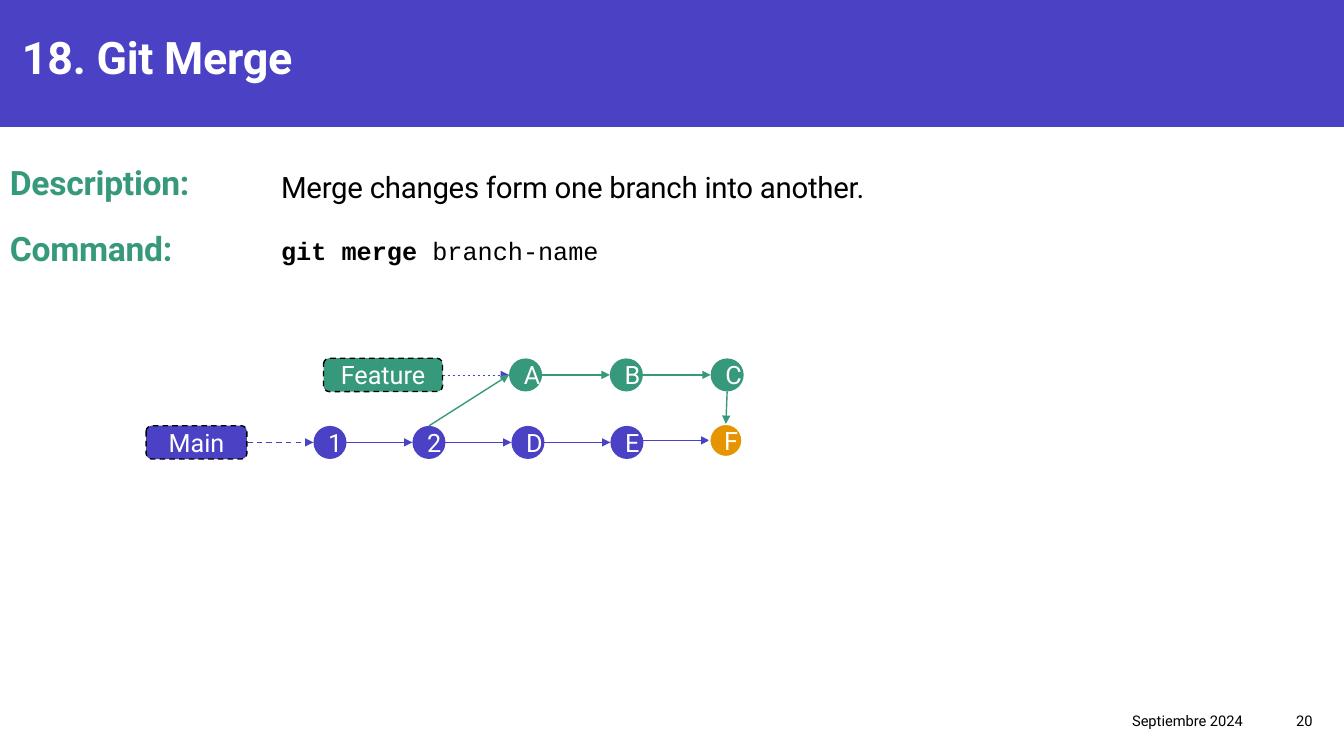
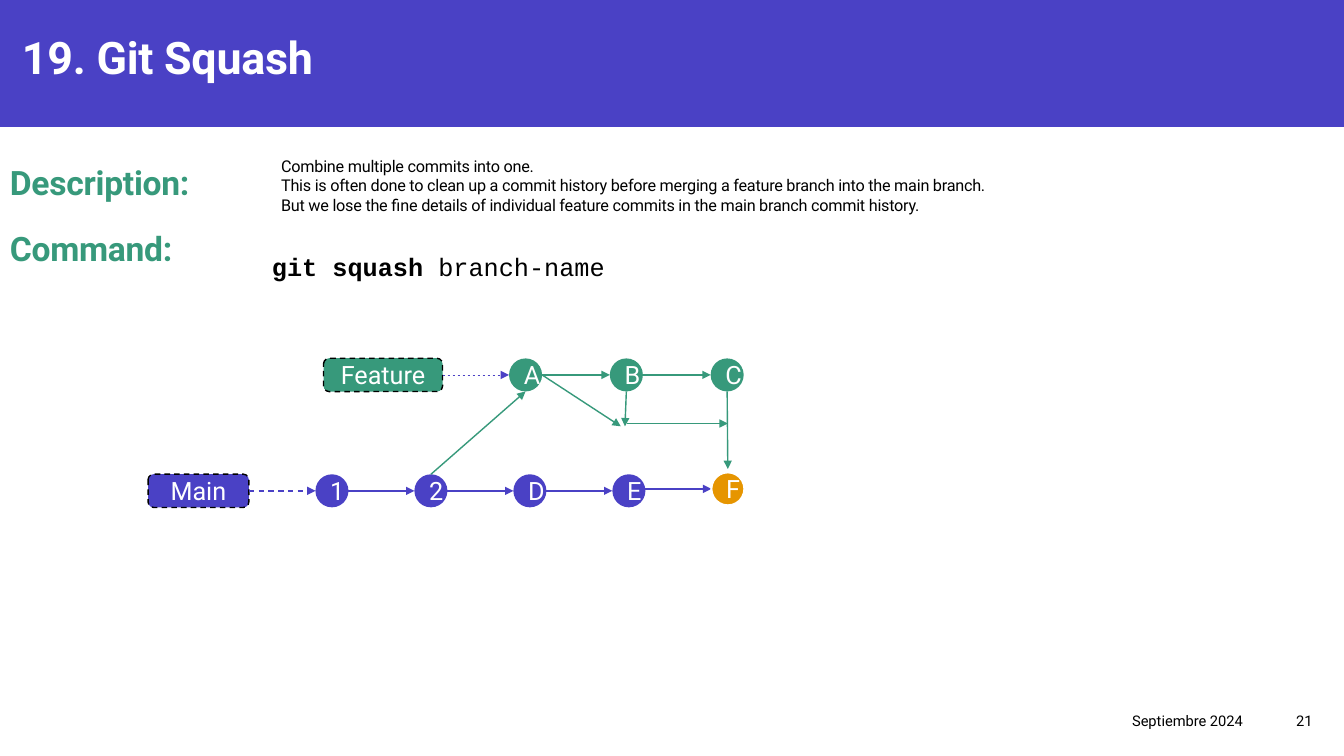
import dataclasses
import typing

import pptx
import pptx.dml.color
import pptx.enum.dml
import pptx.enum.shapes
import pptx.enum.text
import pptx.oxml
import pptx.oxml.ns
import pptx.util

Pt = pptx.util.Pt
SHAPE = pptx.enum.shapes.MSO_SHAPE
ALIGN = pptx.enum.text.PP_ALIGN
ANCHOR = pptx.enum.text.MSO_ANCHOR
DASH = pptx.enum.dml.MSO_LINE.DASH


def rgb(value):
    return pptx.dml.color.RGBColor.from_string(value)


@dataclasses.dataclass(frozen=True)
class Theme:
    main: typing.Any = rgb("4A41C5")
    feature: typing.Any = rgb("37997B")
    merged: typing.Any = rgb("E69500")
    white: typing.Any = rgb("FFFFFF")
    black: typing.Any = rgb("000000")
    font: str = "Roboto"
    code_font: str = "Courier New"
    title_size: float = 32
    heading_size: float = 24
    body_size: float = 21
    small_size: float = 11.6
    diagram_size: float = 18
    footer_size: float = 10.5
    tracking: int = -20  # hundredths of a point


THEME = Theme()


class Box(typing.NamedTuple):
    left: float
    top: float
    width: float
    height: float

    def at(self, across, down):
        """Point at a fraction of the width and of the height."""
        return self.left + across * self.width, self.top + down * self.height

    def points(self):
        return [Pt(length) for length in self]


PAGE = Box(0, 0, 960, 540)
ROW_HEIGHT = 23.8
COMMIT_SIZE = 23.6


# Basic parts
def set_attributes(target, values):
    for name, value in values.items():
        setattr(target, name, value)


def write_runs(paragraph, runs, size, color, font=THEME.font, tracking=0):
    for text, bold in runs:
        run = paragraph.add_run()
        run.text = text
        set_attributes(run.font, {"name": font, "size": Pt(size), "bold": bold})
        run.font.color.rgb = color
        if tracking:
            run._r.get_or_add_rPr().set("spc", str(tracking))


def add_text(slide, box, lines, size, color, anchor=ANCHOR.TOP, paragraph_format=None, **style):
    """Each line is a list of (text, bold) runs."""
    frame = slide.shapes.add_textbox(*box.points()).text_frame
    set_attributes(frame, {"word_wrap": True, "vertical_anchor": anchor})
    for index, runs in enumerate(lines):
        paragraph = frame.add_paragraph() if index else frame.paragraphs[0]
        set_attributes(paragraph, paragraph_format or {})
        write_runs(paragraph, runs, size, color, **style)


def add_block(slide, kind, box, fill, text="", outline=None):
    """Outline is a dict with color, width and dash_style."""
    shape = slide.shapes.add_shape(kind, *box.points())
    shape.shadow.inherit = False
    shape.fill.solid()
    shape.fill.fore_color.rgb = fill
    if outline:
        shape.line.color.rgb = outline["color"]
        set_attributes(shape.line, {"width": Pt(outline["width"]),
                                    "dash_style": outline.get("dash_style")})
    else:
        shape.line.fill.background()
    if text:
        paragraph = shape.text_frame.paragraphs[0]
        paragraph.alignment = ALIGN.CENTER
        write_runs(paragraph, [(text, False)], THEME.diagram_size, THEME.white)
    return shape


def add_arrow(slide, start, end, color, width=1, dash_style=None):
    connector = slide.shapes.add_connector(
        pptx.enum.shapes.MSO_CONNECTOR.STRAIGHT, *[Pt(value) for value in (*start, *end)])
    connector.line.color.rgb = color
    set_attributes(connector.line, {"width": Pt(width), "dash_style": dash_style})
    line = connector.line._get_or_add_ln()
    tail = pptx.oxml.parse_xml(
        f'<a:tailEnd {pptx.oxml.ns.nsdecls("a")} type="triangle"/>')
    line.append(tail)
    effects = pptx.oxml.parse_xml(f'<a:effectLst {pptx.oxml.ns.nsdecls("a")}/>')
    line.addnext(effects)
    return connector


# Regions
def add_header(slide, box, title):
    add_block(slide, SHAPE.RECTANGLE, box, THEME.main)
    add_text(slide, Box(box.left + 8.6, box.top + 18, box.width - 24, 46.8), [[(title, True)]],
             THEME.title_size, THEME.white, tracking=THEME.tracking)


def add_headings(slide, box):
    for index, heading in enumerate(("Description:", "Command:")):
        add_text(slide, Box(box.left, box.top + index * box.height / 2, box.width, box.height / 2),
                 [[(heading, True)]], THEME.heading_size, THEME.feature,
                 paragraph_format={"line_spacing": 1.1}, tracking=THEME.tracking)


def add_description(slide, box, lines):
    single = len(lines) == 1
    add_text(slide, box, [[(line, False)] for line in lines],
             THEME.body_size if single else THEME.small_size, THEME.black, ANCHOR.MIDDLE,
             {"line_spacing": 1.1 if single else Pt(13.9)}, tracking=THEME.tracking)


def add_command(slide, box, command, argument):
    add_text(slide, box, [[(command, True), (" " + argument, False)]],
             THEME.diagram_size, THEME.black, font=THEME.code_font)


def add_footer(slide, box, number):
    number_width = 49.7
    date_box = box._replace(width=box.width - number_width)
    number_box = Box(date_box.left + date_box.width, box.top, number_width, box.height)
    for part, text in ((date_box, "Septiembre 2024"), (number_box, str(number))):
        add_text(slide, part, [[(text, False)]], THEME.footer_size, THEME.black,
                 ANCHOR.MIDDLE, {"alignment": ALIGN.RIGHT})


def add_branch(slide, label_box, name, commits, color, first, step, label_arrow_width):
    """Draw the label and its commits in a row; return the commit boxes by letter."""
    label = add_block(slide, SHAPE.ROUNDED_RECTANGLE, label_box, color, name,
                      {"color": THEME.black, "width": 1, "dash_style": DASH})
    top = label_box.top + (ROW_HEIGHT - COMMIT_SIZE) / 2
    boxes = {}
    for index, letter in enumerate(commits):
        is_merge = letter == "F"
        box = Box(label_box.left + first + index * step, top - (1.4 if is_merge else 0),
                  COMMIT_SIZE, COMMIT_SIZE)
        left, middle = box.at(0, 0.5)
        if index:
            previous = boxes[commits[index - 1]]
            add_arrow(slide, (previous.at(1, 0.5)[0], middle), (left, middle), color)
        else:
            arrow = add_arrow(slide, label_box.at(1, 0.5), (left, middle), THEME.main,
                              label_arrow_width, DASH)
            arrow.begin_connect(label, 3)
        add_block(slide, SHAPE.OVAL, box, THEME.merged if is_merge else color, letter,
                  {"color": THEME.white, "width": 1.5} if is_merge else None)
        boxes[letter] = box
    return boxes


def add_history(slide, box, main_indent, squash):
    """Feature row at the top of the box, main row at its bottom."""
    main_box = Box(box.left + main_indent, box.top + box.height - ROW_HEIGHT, 72, ROW_HEIGHT)
    feature_box = Box(box.left + 126.7, box.top, 85, ROW_HEIGHT)
    commits = add_branch(slide, main_box, "Main", "12DEF", THEME.main, 119.5, 70.7, 1)
    commits |= add_branch(slide, feature_box, "Feature", "ABC", THEME.feature, 132.5, 72, 0.5)

    # Branching off and merging back
    branch_end = commits["A"].at(0.5, 1) if squash else commits["A"].at(0, 0.5)
    merge_left, merge_top = commits["F"].at(0.5, 0)
    arrows = [(commits["2"].at(0.5, 0), branch_end),
              (commits["C"].at(0.5, 1), (merge_left, merge_top - (2.4 if squash else 0)))]

    # Feature commits gathered into one
    if squash:
        join_left, join_top = box.left + 342, box.top + 46.6
        arrows += [(commits["A"].at(1, 0.5), (join_left - 3, join_top + 2)),
                   (commits["B"].at(0.5, 1), (join_left, join_top + 2)),
                   ((join_left + 1.4, join_top), (merge_left, join_top))]
    for start, end in arrows:
        add_arrow(slide, start, end, THEME.feature)


# Slide type
def add_command_slide(presentation, content):
    slide = presentation.slides.add_slide(presentation.slide_layouts[6])
    add_header(slide, PAGE._replace(height=90.7), content["title"])
    add_headings(slide, Box(0, 108.9, 224, 94.6))
    add_description(slide, Box(193.7, 102.2, 555, 60.5), content["description"])
    add_command(slide, Box(*content["command_at"], 665, 28.8), *content["command"])
    add_history(slide, Box(104.4, 255.9, 430, content["history_height"]),
                content["main_indent"], content["squash"])
    add_footer(slide, Box(552.2, 500.4, 392.4, 28.8), content["number"])


SLIDES = [
    {
        "title": "18. Git Merge",
        "description": ["Merge changes form one branch into another."],
        "command": ("git merge", "branch-name"),
        "command_at": (193.7, 164.9),
        "history_height": 72,
        "main_indent": 0,
        "squash": False,
        "number": 20,
    },
    {
        "title": "19. Git Squash",
        "description": [
            "Combine multiple commits into one.",
            "This is often done to clean up a commit history before merging a feature branch "
            "into the main branch.",
            "But we lose the fine details of individual feature commits in the main branch "
            "commit history.",
        ],
        "command": ("git squash", "branch-name"),
        "command_at": (187.2, 175.7),
        "history_height": 106.6,
        "main_indent": 1.4,
        "squash": True,
        "number": 21,
    },
]


def main():
    presentation = pptx.Presentation()
    set_attributes(presentation, {"slide_width": Pt(PAGE.width), "slide_height": Pt(PAGE.height)})
    for content in SLIDES:
        add_command_slide(presentation, content)
    presentation.save("out.pptx")


if __name__ == "__main__":
    main()
